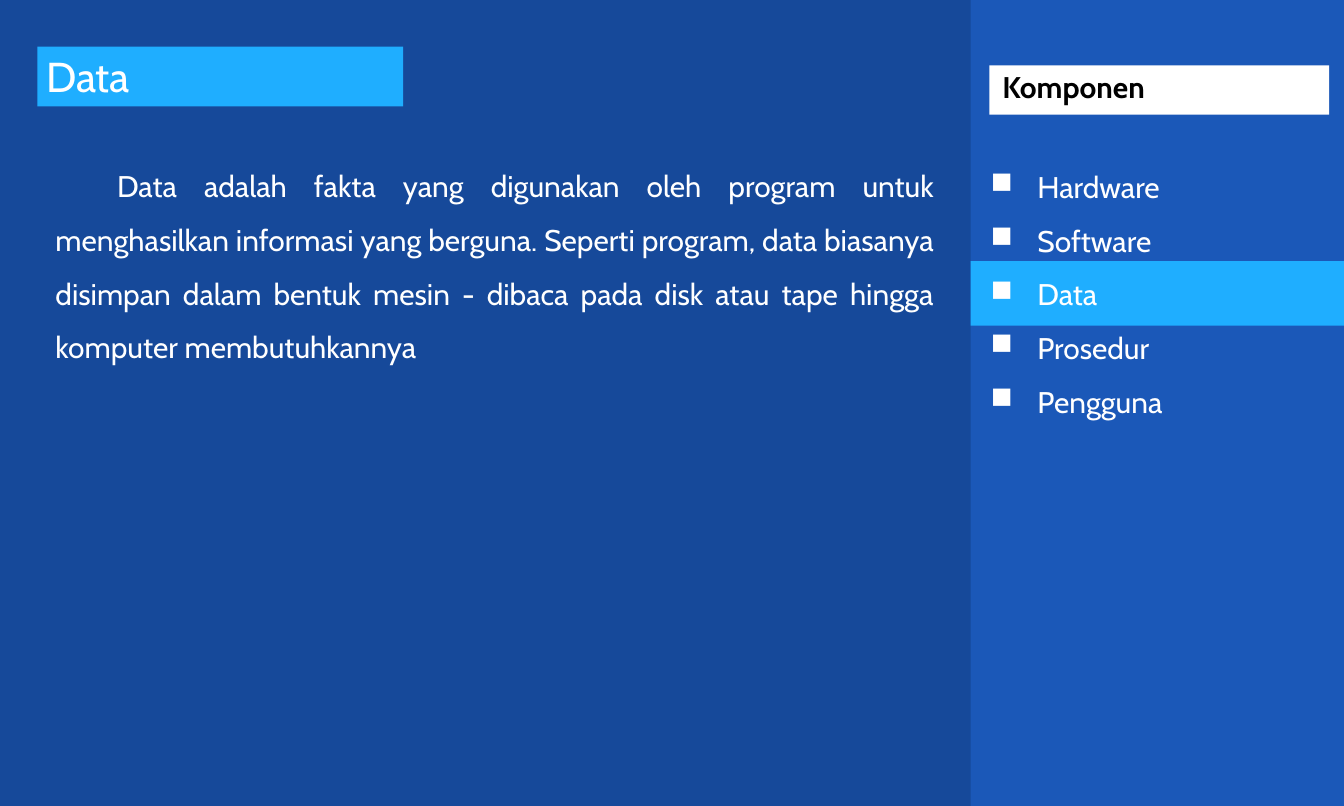
import pptx
import pptx.util
import pptx.dml.color
import pptx.enum.shapes
import pptx.enum.text
import pptx.oxml.ns
import lxml.etree

# Content
TITLE = "Data"
BODY = ("Data adalah fakta yang digunakan oleh program untuk menghasilkan "
        "informasi yang berguna. Seperti program, data biasanya disimpan dalam "
        "bentuk mesin - dibaca pada disk atau tape hingga komputer membutuhkannya")
MENU_TITLE = "Komponen"
MENU = ["Hardware", "Software", "Data", "Prosedur", "Pengguna"]

# Theme
THEME = {
    "font": "Cabin", "title": 33.6, "text": 24,
    "back": "16499A", "sidebar": "1B58B8", "accent": "1FAEFF",
    "light": "FFFFFF", "dark": "000000",
}

# Layout in px, 96 to the inch: left, top, width, height
PAGE_SIZE = (1440, 864)
SIDEBAR = (1040, 0, 400, 864)
TITLE_BAR = (40, 50, 392, 64)
BODY_BOX = (50, 156, 960, 242)
MENU_BAR = (1060, 70, 364, 53)
ACTIVE_BAR = (1040, 280, 400, 69)
MENU_BOX = (1023, 176, 361, 279)
BODY_INDENT = 66
MENU_BAR_INSET = 14
MENU_MARGIN, MENU_HANG = 79, -50

ALIGN = pptx.enum.text.PP_ALIGN
FIT = pptx.enum.text.MSO_AUTO_SIZE.SHAPE_TO_FIT_TEXT
ANCHOR = pptx.enum.text.MSO_ANCHOR


def px(length):
    return pptx.util.Emu(length * 9525)


def colour(name):
    return pptx.dml.color.RGBColor.from_string(THEME[name])


def set_all(target, values):
    for name, value in values.items():
        setattr(target, name, value)


def add_bar(page, place, fill):
    bar = page.shapes.add_shape(
        pptx.enum.shapes.MSO_SHAPE.RECTANGLE, *map(px, place))
    bar.shadow.inherit = False
    bar.fill.solid()
    bar.fill.fore_color.rgb = colour(fill)
    bar.line.fill.background()
    return bar


def indent(para, margin, first):
    properties = para._p.get_or_add_pPr()
    properties.set("marL", str(px(margin)))
    properties.set("indent", str(px(first)))
    return properties


def add_bullet(para):
    properties = indent(para, MENU_MARGIN, MENU_HANG)
    qn = pptx.oxml.ns.qn
    bullet_colour = lxml.etree.SubElement(properties, qn("a:buClr"))
    lxml.etree.SubElement(bullet_colour, qn("a:srgbClr"), val=THEME["light"])
    lxml.etree.SubElement(properties, qn("a:buChar"), char="■")


def write(para, text, size="text", ink="light", bold=False, **format_values):
    set_all(para, {"alignment": ALIGN.LEFT, **format_values})
    span = para.add_run()
    span.text = text
    set_all(span.font, {"name": THEME["font"], "bold": bold,
                        "size": pptx.util.Pt(THEME[size])})
    span.font.color.rgb = colour(ink)


def main():
    deck = pptx.Presentation()
    deck.slide_width, deck.slide_height = map(px, PAGE_SIZE)
    page = deck.slides.add_slide(deck.slide_layouts[6])
    page.background.fill.solid()
    page.background.fill.fore_color.rgb = colour("back")

    # Sidebar panel
    add_bar(page, SIDEBAR, "sidebar")

    # Title bar
    frame = add_bar(page, TITLE_BAR, "accent").text_frame
    set_all(frame, {"word_wrap": True, "auto_size": FIT,
                    "vertical_anchor": ANCHOR.TOP})
    write(frame.paragraphs[0], TITLE, size="title")

    # Body text
    frame = page.shapes.add_textbox(*map(px, BODY_BOX)).text_frame
    set_all(frame, {"word_wrap": True, "auto_size": FIT})
    indent(frame.paragraphs[0], 0, BODY_INDENT)
    write(frame.paragraphs[0], BODY, alignment=ALIGN.JUSTIFY, line_spacing=1.5)

    # Sidebar heading
    frame = add_bar(page, MENU_BAR, "light").text_frame
    set_all(frame, {"word_wrap": True, "vertical_anchor": ANCHOR.MIDDLE,
                    "margin_left": px(MENU_BAR_INSET), "margin_right": 0,
                    "margin_top": 0, "margin_bottom": 0})
    write(frame.paragraphs[0], MENU_TITLE, ink="dark", bold=True,
          line_spacing=0.8)

    # Sidebar list with the active entry highlighted
    add_bar(page, ACTIVE_BAR, "accent")
    frame = page.shapes.add_textbox(*map(px, MENU_BOX)).text_frame
    set_all(frame, {"word_wrap": True, "auto_size": FIT})
    for index, entry in enumerate(MENU):
        para = frame.add_paragraph() if index else frame.paragraphs[0]
        add_bullet(para)
        write(para, entry, space_before=pptx.util.Pt(14.4 if index else 0))

    deck.save("out.pptx")


if __name__ == "__main__":
    main()
